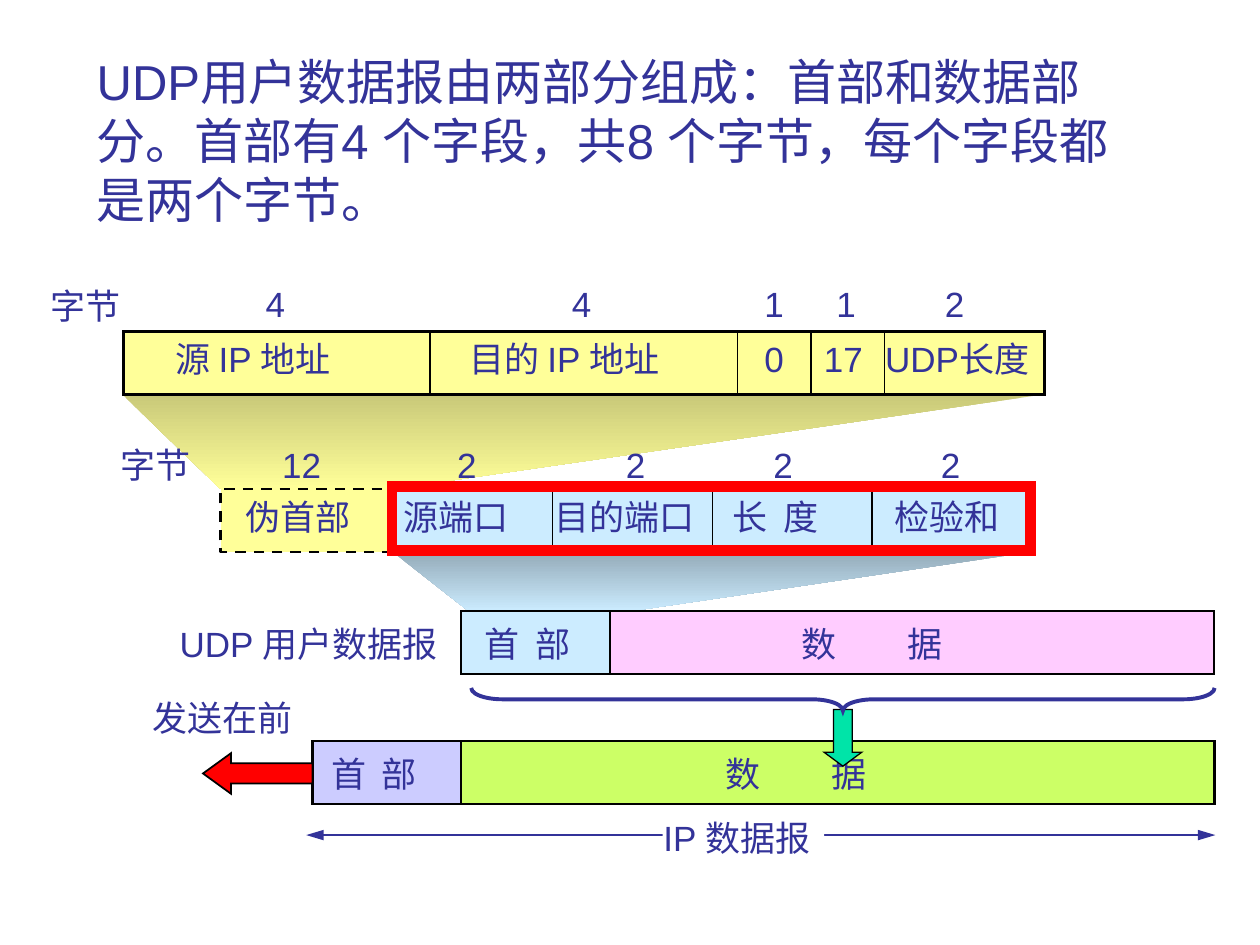
from lxml import etree
from pptx import Presentation
from pptx.dml.color import RGBColor
from pptx.enum.dml import MSO_LINE
from pptx.enum.shapes import MSO_CONNECTOR, MSO_SHAPE
from pptx.enum.text import MSO_AUTO_SIZE
from pptx.oxml.ns import qn
from pptx.util import Pt

RECT = MSO_SHAPE.RECTANGLE
LEFT_ARROW = MSO_SHAPE.LEFT_ARROW
DOWN_ARROW = MSO_SHAPE.DOWN_ARROW
BRACE = MSO_SHAPE.LEFT_BRACE
STRAIGHT = MSO_CONNECTOR.STRAIGHT
DASH = MSO_LINE.DASH
GROW = MSO_AUTO_SIZE.SHAPE_TO_FIT_TEXT

COLORS = {
    "text": "333399", "black": "000000", "white": "FFFFFF", "red": "FF0000",
    "yellow": "FFFF99", "dark_yellow": "C9C979", "blue": "CCECFF",
    "dark_blue": "94ABB9", "violet": "CCCCFF", "pink": "FFCCFF",
    "lime": "CCFF66", "green": "00E4A8",
}
RGB = {name: RGBColor.from_string(value) for name, value in COLORS.items()}

prs = Presentation()
prs.slide_width, prs.slide_height = Pt(720), Pt(540)
s = prs.slides.add_slide(prs.slide_layouts[6])


def add_box(kind, x, y, w, h, fill=None, line=None, width=1):
    sp = s.shapes.add_shape(kind, Pt(x), Pt(y), Pt(w), Pt(h))
    sp.shadow.inherit = False
    if fill:
        sp.fill.solid()
        sp.fill.fore_color.rgb = RGB[fill]
    else:
        sp.fill.background()
    if line:
        sp.line.color.rgb = RGB[line]
        sp.line.width = Pt(width)
        etree.SubElement(sp.line._get_or_add_ln(), qn("a:miter"), lim="800000")
    else:
        sp.line.fill.background()
    return sp


def add_text(x, y, w, h, text, size=20, wrap=False, tab=None):
    tf = s.shapes.add_textbox(Pt(x), Pt(y), Pt(w), Pt(h)).text_frame
    tf.word_wrap = wrap or tab is not None
    tf.auto_size = GROW
    tf.text = text
    p = tf.paragraphs[0]
    pPr = p._p.get_or_add_pPr()
    pPr.set("hangingPunct", "0")
    if tab:
        tabs = etree.SubElement(pPr, qn("a:tabLst"))
        etree.SubElement(tabs, qn("a:tab"), pos=str(Pt(tab)), algn="l")
    for r in p.runs:
        r.font.size = Pt(size)
        r.font.name = "Arial"
        r.font.color.rgb = RGB["text"]


ROW_H = 36
PSEUDO_Y, UDP_Y, USER_Y, IP_Y = 189.4, 279.4, 349.2, 423.4
UDP_X, UDP_W = 224.5, 365

funnels = [
    ([(224.5, 315.4), (589.2, 315.4), (357.8, 349.6), (267.8, 349.2)], "dark_blue", "blue"),
    ([(70, 225.4), (596.2, 225.4), (224.5, 279.4), (126, 279.4)], "dark_yellow", "yellow"),
]
for points, top, bottom in funnels:
    start, *rest = [(Pt(x), Pt(y)) for x, y in points]
    builder = s.shapes.build_freeform(*start)
    builder.add_line_segments(rest, close=True)
    sp = builder.convert_to_shape()
    sp.shadow.inherit = False
    sp.line.fill.background()
    sp.fill.gradient()
    sp.fill.gradient_angle = 270
    for stop, color, position in zip(sp.fill.gradient_stops, (top, bottom), (0, 1)):
        stop.color.rgb = RGB[color]
        stop.position = position

boxes = [
    (178.5, IP_Y, 85, "violet", 1.5),
    (263.5, IP_Y, 430.5, "lime", 1.5),
    (263.5, USER_Y, 85, "blue", 1),
    (348.5, USER_Y, 345.5, "pink", 1),
    (UDP_X, UDP_Y, UDP_W, "blue", 1.5),
    (70.5, PSEUDO_Y, 526.3, "yellow", 1.5),
]
for x, y, w, fill, width in boxes:
    add_box(RECT, x, y, w, ROW_H, fill, "black", width)

builder = s.shapes.build_freeform(Pt(UDP_X), Pt(UDP_Y + ROW_H))
builder.add_line_segments(
    [(Pt(126), Pt(UDP_Y + ROW_H)), (Pt(126), Pt(UDP_Y)), (Pt(UDP_X), Pt(UDP_Y))],
    close=False)
sp = builder.convert_to_shape()
sp.shadow.inherit = False
sp.fill.solid()
sp.fill.fore_color.rgb = RGB["yellow"]
sp.line.color.rgb = RGB["black"]
sp.line.width = Pt(1.5)
sp.line.dash_style = DASH

send_arrow = add_box(LEFT_ARROW, 116, 430.4, 62.5, 23.2, "red", "black")
send_arrow.adjustments[1] = 0.69

lines = [(x, PSEUDO_Y, x, PSEUDO_Y + ROW_H, "black") for x in (245.8, 421.3, 463.5, 505.5)]
lines += [(UDP_X + UDP_W * i / 4, UDP_Y, UDP_X + UDP_W * i / 4, UDP_Y + ROW_H, "black")
          for i in (1, 2, 3)]
lines.append((175, 477.2, 694.5, 477.2, "text"))
for x1, y1, x2, y2, color in lines:
    connector = s.shapes.add_connector(STRAIGHT, Pt(x1), Pt(y1), Pt(x2), Pt(y2))
    connector.line.color.rgb = RGB[color]
    connector.line.width = Pt(0.75)
    if color == "text":
        ln = connector.line._get_or_add_ln()
        for end in ("a:headEnd", "a:tailEnd"):
            etree.SubElement(ln, qn(end), type="triangle", w="med", len="lg")
    etree.SubElement(connector._element.spPr, qn("a:effectLst"))

add_box(RECT, 378.7, 465, 92.2, 23, "white")

labels = [
    (157.7, [(144.7, 25, "4"), (319.7, 25, "4"), (429.8, 25, "1"),
             (470.9, 25, "1"), (532.8, 25, "2")]),
    (159.1, [(22, 58, "字节")]),
    (PSEUDO_Y, [(93.3, 120, "源 IP 地址"), (261.1, 140, "目的 IP 地址"), (429.8, 25, "0"),
                (463.7, 37, "17"), (498.7, 104, "UDP长度")]),
    (249.8, [(62, 58, "字节"), (154.1, 37, "12"), (254.2, 25, "2"), (350.6, 25, "2"),
             (434.9, 25, "2"), (530.6, 25, "2")]),
    (UDP_Y, [(133.4, 78, "伪首部"), (223.4, 78, "源端口"), (309.5, 98, "目的端口"),
             (411.4, 78, "长\t度", 29), (504.2, 78, "检验和")]),
    (352.1, [(95.5, 170, "UDP 用户数据报"), (270, 78, "首\t部", 29),
             (450.7, 145, "数\t据", 60.6)]),
    (394.6, [(80, 98, "发送在前")]),
    (426.6, [(182.2, 78, "首\t部", 29), (407.3, 145, "数\t据", 60.6)]),
    (463, [(372, 106, "IP 数据报")]),
]
for y, items in labels:
    for x, w, text, *tab in items:
        add_text(x, y, w, 31.7, text, tab=tab[0] if tab else None)

down_arrow = add_box(DOWN_ARROW, 470.9, 405.4, 21.6, 32.4, "green", "black", 0.75)
down_arrow.adjustments[1] = 0.37

brace = add_box(BRACE, 475.2, 187.2, 13, 424.8, None, "text", 2.25)
brace.rotation = 270
brace.adjustments[0] = 1.36

add_box(RECT, UDP_X - 0.5, 278, UDP_W, 36.7, None, "red", 6)

add_text(48.2, 26, 614, 108,
         "UDP用户数据报由两部分组成：首部和数据部分。首部有4 个字段，共8 个字节，每个字段都是两个字节。",
         28, True)

prs.save("out.pptx")
